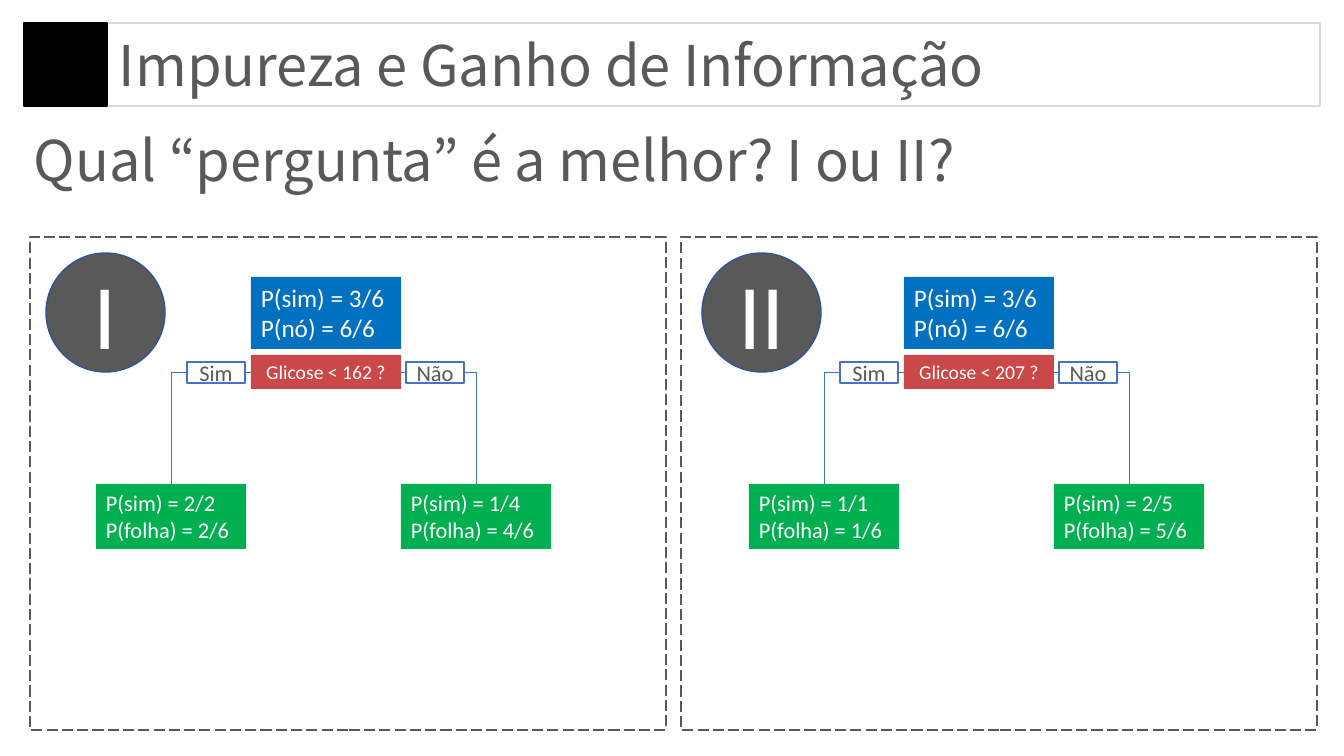
"""Build a slide that compares two decision-tree questions."""
from dataclasses import dataclass

from lxml.etree import SubElement
from pptx import Presentation
from pptx.dml.color import RGBColor
from pptx.enum.dml import MSO_LINE
from pptx.enum.shapes import MSO_CONNECTOR as Link, MSO_SHAPE as Kind
from pptx.enum.text import MSO_ANCHOR as Anchor, MSO_AUTO_SIZE as AutoSize, PP_ALIGN as Align
from pptx.oxml.ns import qn
from pptx.util import Emu, Pt

TITLE = "Impureza e Ganho de Informação"
QUESTION = "Qual “pergunta” é a melhor? I ou II?"
PANELS = [
    {
        "number": "I", "panel_x": 30, "badge_x": 46, "tree_x": 96,
        "root": ["P(sim) = 3/6", "P(nó) = 6/6"],
        "test": "Glicose < 162 ?",
        "yes": ["P(sim) = 2/2", "P(folha) = 2/6"],
        "no": ["P(sim) = 1/4", "P(folha) = 4/6"],
    },
    {
        "number": "II", "panel_x": 681, "badge_x": 702, "tree_x": 749,
        "root": ["P(sim) = 3/6", "P(nó) = 6/6"],
        "test": "Glicose < 207 ?",
        "yes": ["P(sim) = 1/1", "P(folha) = 1/6"],
        "no": ["P(sim) = 2/5", "P(folha) = 5/6"],
    },
]
BRANCHES = [("yes", "Sim", 0, 91, 1), ("no", "Não", 305, 310, 3)]
NODE_WIDTH = 150
ROOT_OFFSET = 155
PX_PER_INCH = 100.8


@dataclass(frozen=True)
class Theme:
    heading_font: str = "Noto Sans CJK JP"
    body_font: str = "Calibri"
    ink: str = "595959"
    white: str = "FFFFFF"
    black: str = "000000"
    frame: str = "D9D9D9"
    root: str = "0070C0"
    test: str = "CB4848"
    leaf: str = "00B050"
    branch: str = "4472C4"
    badge_edge: str = "325491"
    heading_size: int = 40
    badge_size: int = 66
    root_size: int = 18
    leaf_size: int = 16
    test_size: int = 14


THEME = Theme()


def px(length):
    return Emu(round(length * 914400 / PX_PER_INCH))


def color(value):
    return RGBColor.from_string(value)


def add_box(page, left, top, width, height, fill=None, line=None, kind=Kind.RECTANGLE):
    box = page.shapes.add_shape(kind, px(left), px(top), px(width), px(height))
    box.shadow.inherit = False
    if fill:
        box.fill.solid()
        box.fill.fore_color.rgb = color(fill)
    else:
        box.fill.background()
    if line:
        box.line.color.rgb = color(line)
        box.line.width = Pt(1)
    else:
        box.line.fill.background()
    return box


def write(box, lines, size, ink=THEME.white, font=THEME.body_font, align=Align.LEFT, grow=True):
    frame = box.text_frame
    frame.word_wrap = True
    frame.auto_size = AutoSize.SHAPE_TO_FIT_TEXT if grow else AutoSize.NONE
    frame.vertical_anchor = Anchor.TOP if grow else Anchor.MIDDLE
    for index, line in enumerate(lines):
        para = frame.add_paragraph() if index else frame.paragraphs[0]
        para.text = line
        para.alignment = align
        para.font.name = font
        para.font.size = Pt(size)
        para.font.color.rgb = color(ink)


def add_heading(page, left, top, text):
    box = page.shapes.add_textbox(px(left), px(top), px(1076), px(78))
    write(box, [text], THEME.heading_size, THEME.ink, THEME.heading_font)


def add_branch(page, test, side, leaf):
    branch = page.shapes.add_connector(Link.ELBOW, 0, 0, 0, 0)
    branch.begin_connect(test, side)
    branch.end_connect(leaf, 0)
    branch.line.color.rgb = color(THEME.branch)
    branch.line.width = Pt(0.5)
    properties = branch._element.spPr
    properties.find(qn("a:prstGeom")).set("prst", "bentConnector2")
    SubElement(properties, qn("a:effectLst"))


def add_tree(page, panel):
    left = panel["tree_x"]
    root = add_box(page, left + ROOT_OFFSET, 277, NODE_WIDTH, 72, THEME.root)
    write(root, panel["root"], THEME.root_size)
    test = add_box(page, left + ROOT_OFFSET, 355, NODE_WIDTH, 34, THEME.test)
    write(test, [panel["test"]], THEME.test_size, align=Align.CENTER)
    for key, answer, leaf_offset, label_offset, side in BRANCHES:
        leaf = add_box(page, left + leaf_offset, 484, NODE_WIDTH, 65, THEME.leaf)
        write(leaf, panel[key], THEME.leaf_size)
        add_branch(page, test, side, leaf)
        label = add_box(page, left + label_offset, 362, 58, 21, THEME.white, THEME.branch)
        write(label, [answer], THEME.leaf_size, THEME.ink, align=Align.CENTER, grow=False)


def add_panel(page, panel):
    border = add_box(page, panel["panel_x"], 237, 636, 493, line=THEME.ink)
    border.line.dash_style = MSO_LINE.LONG_DASH
    add_tree(page, panel)
    badge = add_box(page, panel["badge_x"], 253, 119, 119, THEME.ink, THEME.badge_edge, Kind.OVAL)
    write(badge, [panel["number"]], THEME.badge_size, align=Align.CENTER, grow=False)


def main():
    deck = Presentation()
    deck.slide_width, deck.slide_height = px(1344), px(756)
    page = deck.slides.add_slide(deck.slide_layouts[6])
    add_box(page, 24, 23, 1296, 83, line=THEME.frame)
    add_heading(page, 109, 26, TITLE)
    add_box(page, 24, 23, 83, 83, THEME.black, THEME.black)
    add_heading(page, 24, 121, QUESTION)
    for panel in PANELS:
        add_panel(page, panel)
    deck.save("out.pptx")


if __name__ == "__main__":
    main()
